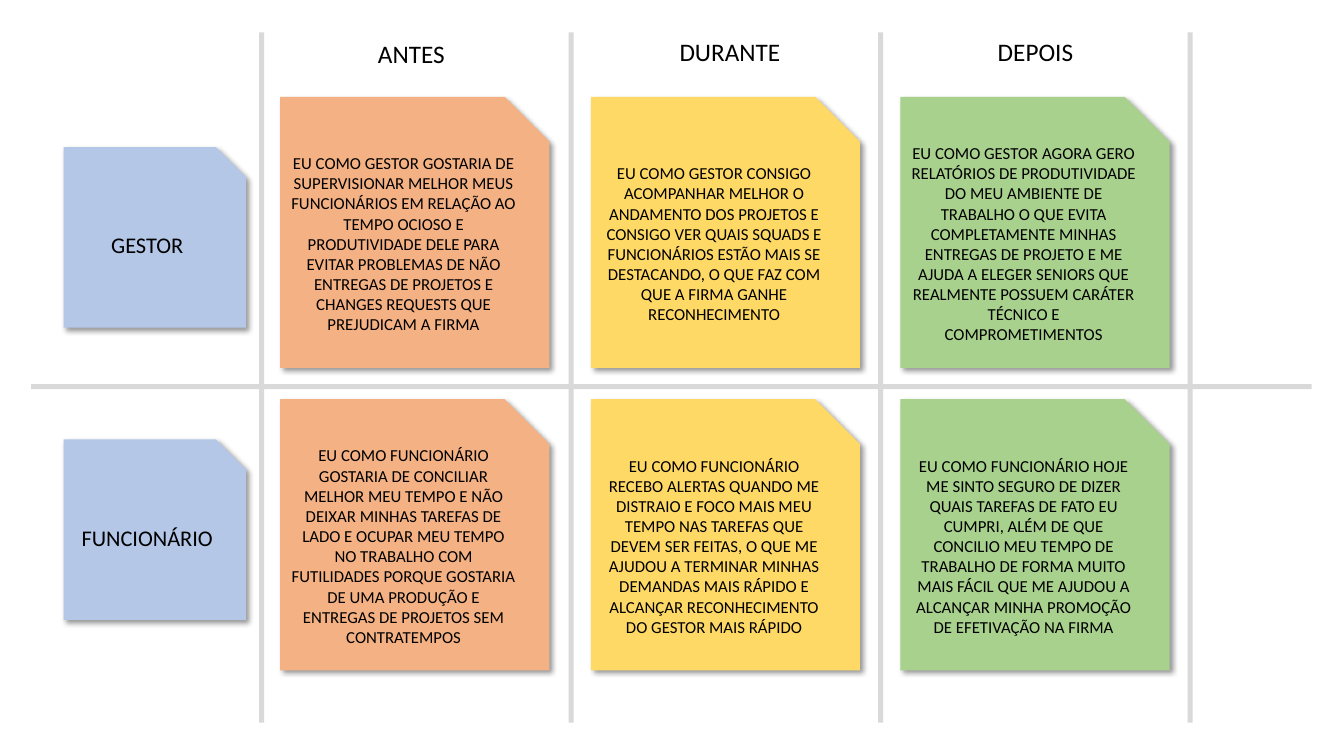
from lxml import etree
from pptx import Presentation
from pptx.dml.color import RGBColor
from pptx.enum.shapes import MSO_SHAPE
from pptx.enum.text import MSO_ANCHOR, PP_ALIGN
from pptx.oxml import parse_xml
from pptx.oxml.ns import nsdecls
from pptx.util import Pt

PX = 9144  # 100 px to the inch
RECT, NOTE = MSO_SHAPE.RECTANGLE, MSO_SHAPE.SNIP_1_RECTANGLE
CENTER, MIDDLE = PP_ALIGN.CENTER, MSO_ANCHOR.MIDDLE
SHADOW = (
    f'<a:effectLst {nsdecls("a")}>'
    '<a:outerShdw blurRad="50800" dist="38100" dir="2700000" algn="tl" rotWithShape="0">'
    '<a:srgbClr val="000000"><a:alpha val="40000"/></a:srgbClr>'
    '</a:outerShdw></a:effectLst>'
)


def add_box(kind, x, y, w, h, color):
    sp = slide.shapes.add_shape(kind, x * PX, y * PX, w * PX, h * PX)
    sp.shadow.inherit = False
    sp.fill.solid()
    sp.fill.fore_color.rgb = RGBColor.from_string(color)
    sp.line.fill.background()
    if kind == NOTE:
        effects = sp._element.spPr.find("{*}effectLst")
        effects.getparent().replace(effects, parse_xml(SHADOW))
    return sp


def write(sp, text, size):
    tf = sp.text_frame
    tf.word_wrap = True
    p = tf.paragraphs[0]
    p.alignment = CENTER
    r = p.add_run()
    r.text = text
    r.font.name = "Calibri"
    r.font.size = Pt(size)
    r.font.color.rgb = RGBColor.from_string("000000")


prs = Presentation()
prs.slide_width, prs.slide_height = 1333 * PX, 750 * PX
slide = prs.slides.add_slide(prs.slide_layouts[6])

# Grid
for i in range(4):
    add_box(RECT, 257 + 307 * i, 32, 5, 685, "D9D9D9")
add_box(RECT, 31, 381, 1270, 5, "D9D9D9")

# Row labels
for label, y in [("GESTOR", 146), ("FUNCIONÁRIO", 436)]:
    sp = add_box(NOTE, 63, y, 181, 179, "B4C7E7")
    sp.text_frame.vertical_anchor = MIDDLE
    write(sp, label, 16)

# Columns: heading, heading x and y, note x, note colour, one note per row
columns = [
    ("ANTES", 280, 33, 278, "F4B183", [
        "EU COMO GESTOR GOSTARIA DE SUPERVISIONAR MELHOR MEUS FUNCIONÁRIOS EM "
        "RELAÇÃO AO TEMPO OCIOSO E PRODUTIVIDADE DELE PARA EVITAR PROBLEMAS DE "
        "NÃO ENTREGAS DE PROJETOS E CHANGES REQUESTS QUE PREJUDICAM A FIRMA",
        "EU COMO FUNCIONÁRIO GOSTARIA DE CONCILIAR MELHOR MEU TEMPO E NÃO "
        "DEIXAR MINHAS TAREFAS DE LADO E OCUPAR MEU TEMPO NO TRABALHO COM "
        "FUTILIDADES PORQUE GOSTARIA DE UMA PRODUÇÃO E ENTREGAS DE PROJETOS "
        "SEM CONTRATEMPOS",
    ]),
    ("DURANTE", 596, 31, 586, "FFD966", [
        "EU COMO GESTOR CONSIGO ACOMPANHAR MELHOR O ANDAMENTO DOS PROJETOS E "
        "CONSIGO VER QUAIS SQUADS E FUNCIONÁRIOS ESTÃO MAIS SE DESTACANDO, "
        "O QUE FAZ COM QUE A FIRMA GANHE RECONHECIMENTO",
        "EU COMO FUNCIONÁRIO RECEBO ALERTAS QUANDO ME DISTRAIO E FOCO MAIS MEU "
        "TEMPO NAS TAREFAS QUE DEVEM SER FEITAS, O QUE ME AJUDOU A TERMINAR "
        "MINHAS DEMANDAS MAIS RÁPIDO E ALCANÇAR RECONHECIMENTO DO GESTOR MAIS "
        "RÁPIDO",
    ]),
    ("DEPOIS", 899, 31, 893, "A9D18E", [
        "EU COMO GESTOR AGORA GERO RELATÓRIOS DE PRODUTIVIDADE DO MEU AMBIENTE "
        "DE TRABALHO O QUE EVITA COMPLETAMENTE MINHAS ENTREGAS DE PROJETO E ME "
        "AJUDA A ELEGER SENIORS QUE REALMENTE POSSUEM CARÁTER TÉCNICO E "
        "COMPROMETIMENTOS",
        "EU COMO FUNCIONÁRIO HOJE ME SINTO SEGURO DE DIZER QUAIS TAREFAS DE "
        "FATO EU CUMPRI, ALÉM DE QUE CONCILIO MEU TEMPO DE TRABALHO DE FORMA "
        "MUITO MAIS FÁCIL QUE ME AJUDOU A ALCANÇAR MINHA PROMOÇÃO DE "
        "EFETIVAÇÃO NA FIRMA",
    ]),
]
for heading, heading_x, heading_y, note_x, color, notes in columns:
    for row, note in enumerate(notes):
        sp = add_box(NOTE, note_x, 96 + 300 * row, 267, 269, color)
        sp.text_frame.vertical_anchor = MIDDLE
        write(sp, note, 12)
    tb = slide.shapes.add_textbox(heading_x * PX, heading_y * PX, 256 * PX, 40 * PX)
    write(tb, heading, 18)

prs.save("out.pptx")
